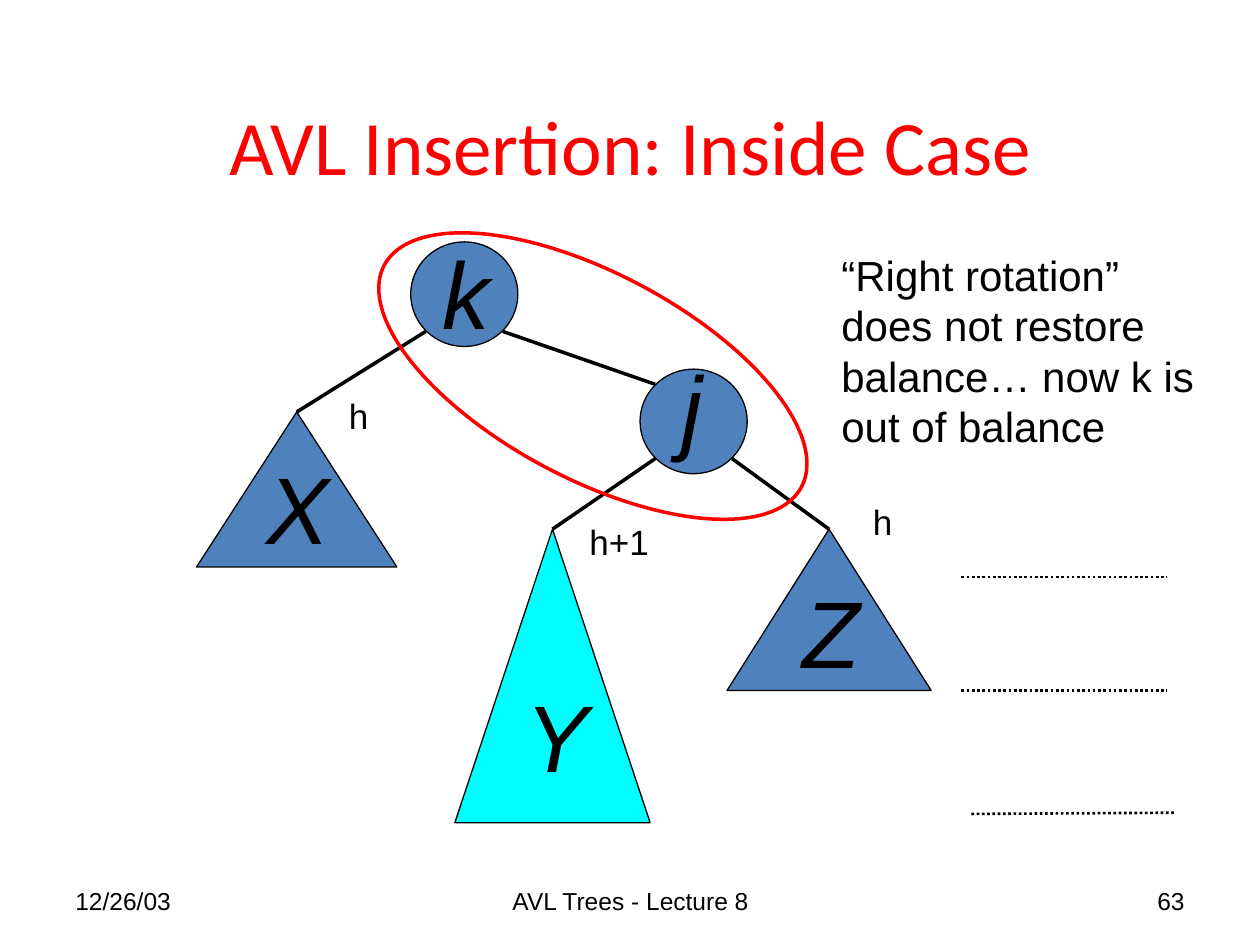
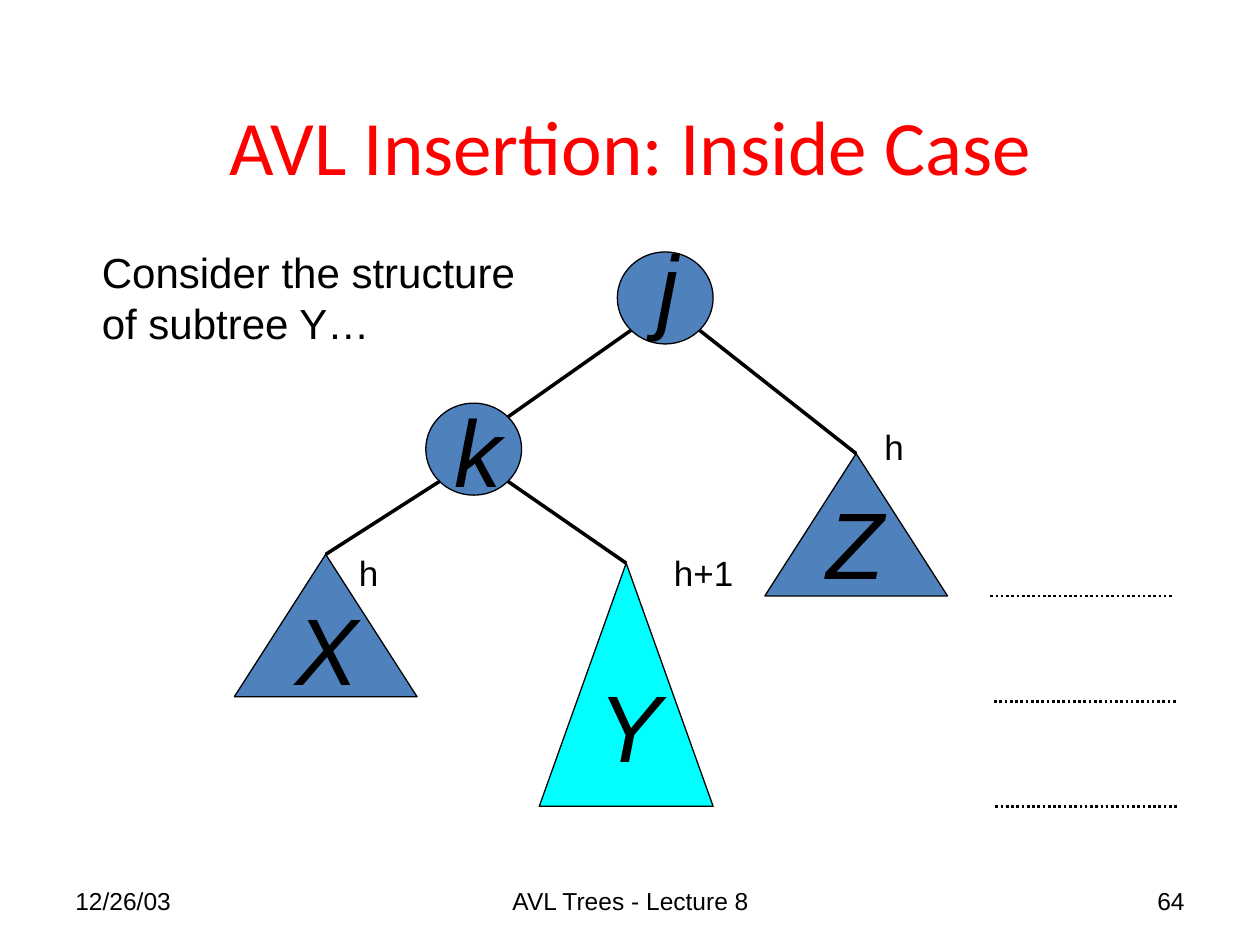
import math
from dataclasses import dataclass
from typing import Any

import lxml.etree
import pptx
import pptx.dml.color
import pptx.enum.dml
import pptx.enum.shapes
import pptx.enum.text
import pptx.oxml.ns
import pptx.util

PX = 9144  # EMU in one px, 100 px to the inch
BLACK, RED, BLUE, CYAN = "000000", "FF0000", "4F81BD", "00FFFF"
SHAPE = pptx.enum.shapes.MSO_SHAPE
ALIGN = pptx.enum.text.PP_ALIGN
MIDDLE = pptx.enum.text.MSO_ANCHOR.MIDDLE
GROW = pptx.enum.text.MSO_AUTO_SIZE.SHAPE_TO_FIT_TEXT
DOTTED = pptx.enum.dml.MSO_LINE.ROUND_DOT

Box = tuple[int, int, int, int]
Point = tuple[int, int]


@dataclass(frozen=True)
class Style:
    font: dict[str, Any]
    color: str = BLACK
    align: Any = ALIGN.LEFT
    before: int = 0
    frame: Any = None


GROWING = {"word_wrap": True, "auto_size": GROW}
UNWRAPPED = {"word_wrap": False, "auto_size": GROW}
CENTRED = {"word_wrap": True, "vertical_anchor": MIDDLE}


def arial(size: int, italic: bool = False) -> dict[str, Any]:
    return {"name": "Arial", "size": pptx.util.Pt(size), "italic": italic}


TITLE = Style({"name": "Calibri", "size": pptx.util.Pt(44)}, RED, ALIGN.CENTER, frame=CENTRED)
LETTER = Style(arial(54, True), before=6, frame=GROWING)
HEIGHT = Style(arial(20), frame=UNWRAPPED)
REMARK = Style(arial(24), frame=UNWRAPPED)


@dataclass(frozen=True)
class Node:
    """A circle or a subtree triangle, with the corner of its letter's box."""
    letter: str
    box: Box
    letter_at: Point
    fill: str = BLUE
    kind: Any = SHAPE.ISOSCELES_TRIANGLE

    @property
    def center_x(self) -> float:
        return self.box[0] + self.box[2] / 2

    def diagonal(self, right: bool, lower: bool) -> Point:
        """Point on the circle at 45 degrees."""
        x, y, w, h = self.box
        k = math.sqrt(0.5) / 2
        return (round(x + w * (0.5 + k * (1 if right else -1))),
                round(y + h * (0.5 + k * (1 if lower else -1))))


@dataclass(frozen=True)
class Label:
    text: str
    box: Box
    style: Style = HEIGHT


@dataclass(frozen=True)
class Tree:
    number: str
    nodes: list[Node]
    edges: list[str]  # parent letter, then child letter
    labels: list[Label]
    levels: list[tuple[Point, Point]]
    ring: Box | None = None


def circle(letter: str, box: Box, letter_at: Point) -> Node:
    return Node(letter, box, letter_at, kind=SHAPE.OVAL)


def level(x: int, y: int, width: int, rise: int = 0) -> tuple[Point, Point]:
    return (x, y), (x + width, y - rise)


TREES = [
    Tree("63",
         [circle("j", (508, 293, 85, 83), (531, 272)),
          circle("k", (326, 192, 85, 83), (341, 182)),
          Node("X", (156, 327, 159, 123), (202, 352)),
          Node("Y", (361, 420, 155, 233), (407, 533), CYAN),
          Node("Z", (577, 420, 162, 128), (627, 451))],
         ["jY", "kX", "jZ", "kj"],
         [Label("“Right rotation”\ndoes not restore\nbalance… now k is\nout of balance",
                (658, 193, 300, 170), REMARK),
          Label("h", (683, 392, 36, 43)),
          Label("h+1", (458, 408, 67, 43)),
          Label("h", (267, 308, 36, 43))],
         [level(763, 548, 163), level(763, 458, 163), level(771, 646, 162, 1)],
         ring=(283, 217, 375, 163)),
    Tree("64",
         [circle("j", (490, 200, 76, 73), (512, 176)),
          circle("k", (338, 320, 76, 73), (351, 307)),
          Node("X", (186, 440, 145, 113), (225, 464)),
          Node("Y", (428, 447, 138, 193), (465, 525), CYAN),
          Node("Z", (607, 360, 145, 113), (646, 380))],
         ["jk", "kX", "kY", "jZ"],
         [Label("Consider the structure\nof subtree Y…", (71, 191, 348, 90), REMARK),
          Label("h", (692, 333, 36, 43)),
          Label("h+1", (525, 433, 67, 43)),
          Label("h", (275, 433, 36, 43))],
         [level(786, 473, 145), level(789, 557, 145), level(790, 640, 145)]),
]


def emu(lengths: tuple[int, ...]) -> list[int]:
    return [n * PX for n in lengths]


def rgb(value: str) -> pptx.dml.color.RGBColor:
    return pptx.dml.color.RGBColor.from_string(value)


def apply(target: Any, values: dict[str, Any]) -> None:
    for name, value in values.items():
        setattr(target, name, value)


def outline(line: Any, color: str, width: float) -> None:
    line.color.rgb = rgb(color)
    line.width = pptx.util.Pt(width)


def add_text(s: Any, label: Label) -> None:
    style = label.style
    tf = s.shapes.add_textbox(*emu(label.box)).text_frame
    apply(tf, style.frame)
    for i, text in enumerate(label.text.split("\n")):
        p = tf.add_paragraph() if i else tf.paragraphs[0]
        apply(p, {"alignment": style.align, "space_before": pptx.util.Pt(style.before)})
        r = p.add_run()
        r.text = text
        apply(r.font, style.font)
        r.font.color.rgb = rgb(style.color)


def add_figure(s: Any, kind: Any, box: Box, fill: str | None, line: str, width: float) -> Any:
    sp = s.shapes.add_shape(kind, *emu(box))
    sp.shadow.inherit = False
    if fill:
        sp.fill.solid()
        sp.fill.fore_color.rgb = rgb(fill)
    else:
        sp.fill.background()
    outline(sp.line, line, width)
    return sp


def add_line(s: Any, start: Point, end: Point, width: float) -> Any:
    cxn = s.shapes.add_connector(pptx.enum.shapes.MSO_CONNECTOR.STRAIGHT, *emu(start + end))
    outline(cxn.line, BLACK, width)
    lxml.etree.SubElement(cxn._element.spPr, pptx.oxml.ns.qn("a:effectLst"))
    return cxn


def add_edge(s: Any, parent: Node, child: Node, child_sp: Any) -> None:
    """Lead from the parent's lower diagonal to the child's apex or upper diagonal."""
    to_right = child.center_x > parent.center_x
    end = child.diagonal(not to_right, False)
    cxn = add_line(s, parent.diagonal(to_right, True), end, 2)
    if child.kind == SHAPE.ISOSCELES_TRIANGLE:
        cxn.end_connect(child_sp, 0)


def add_frame(s: Any, number: str) -> None:
    """Title and footer of every slide."""
    add_text(s, Label("AVL Insertion: Inside Case", (73, 71, 855, 88), TITLE))
    for text, x, width, align in (("12/26/03", 50, 233, ALIGN.LEFT),
                                  ("AVL Trees - Lecture 8", 342, 317, ALIGN.CENTER),
                                  (number, 717, 233, ALIGN.RIGHT)):
        style = Style(arial(14), align=align, frame=CENTRED)
        add_text(s, Label(text, (x, 695, width, 40), style))


def add_tree(s: Any, tree: Tree) -> None:
    nodes = {n.letter: n for n in tree.nodes}
    shapes = {n.letter: add_figure(s, n.kind, n.box, n.fill, BLACK, 0.75) for n in tree.nodes}
    for parent, child in tree.edges:
        add_edge(s, nodes[parent], nodes[child], shapes[child])
    for n in tree.nodes:
        add_text(s, Label(n.letter, n.letter_at + (52, 100), LETTER))
    for start, end in tree.levels:
        add_line(s, start, end, 1.5).line.dash_style = DOTTED
    if tree.ring:
        add_figure(s, SHAPE.OVAL, tree.ring, None, RED, 2).rotation = 28
    for label in tree.labels:
        add_text(s, label)


def main() -> None:
    prs = pptx.Presentation()
    apply(prs, {"slide_width": 1000 * PX, "slide_height": 750 * PX})
    for tree in TREES:
        s = prs.slides.add_slide(prs.slide_layouts[6])
        add_frame(s, tree.number)
        add_tree(s, tree)
    prs.save("out.pptx")


if __name__ == "__main__":
    main()
